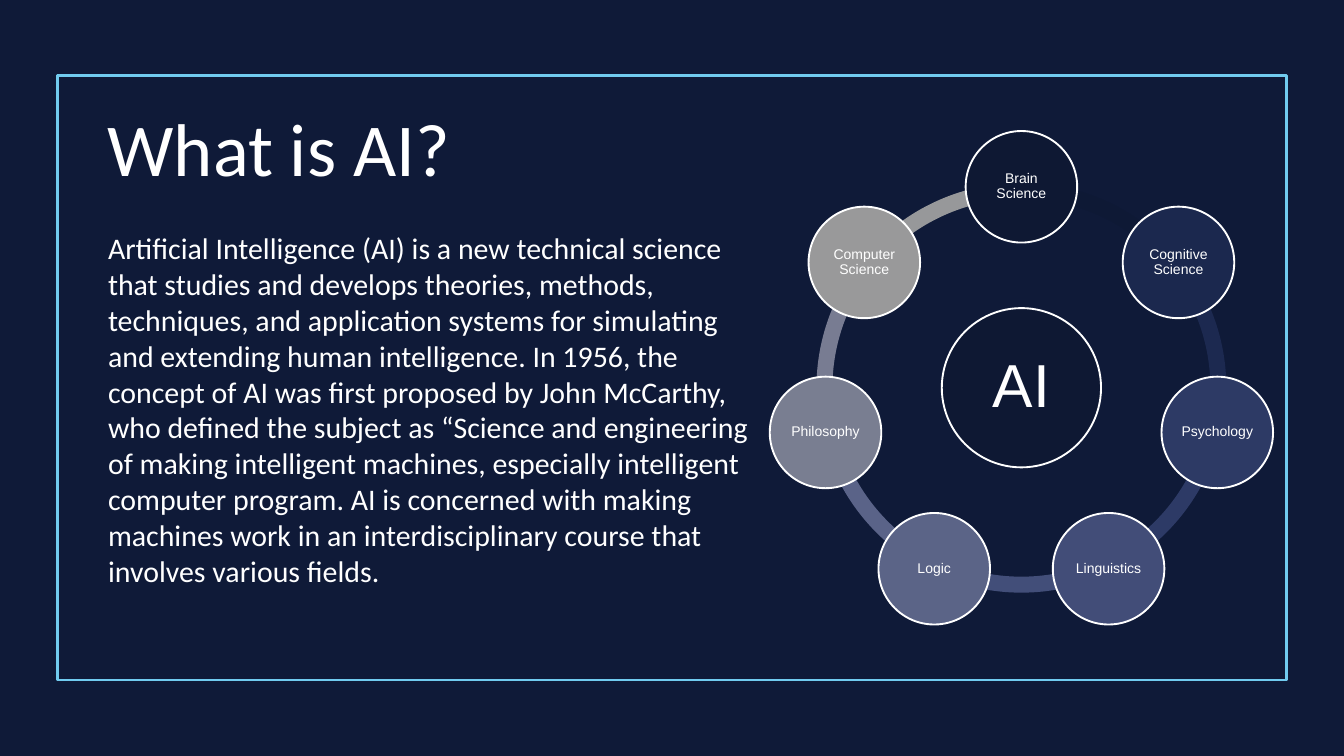
"""Build the "What is AI?" slide with a ring of contributing sciences."""
from math import cos, radians, sin
from typing import NamedTuple

from pptx import Presentation
from pptx.dml.color import RGBColor
from pptx.enum.shapes import MSO_SHAPE as SHAPE
from pptx.enum.text import MSO_ANCHOR as ANCHOR, MSO_AUTO_SIZE as AUTO_SIZE, PP_ALIGN as ALIGN
from pptx.util import Inches, Pt

WHITE = "FFFFFF"
CENTER_X, CENTER_Y = 15.2, 5.77
ORBIT, RING_SIZE, RING_WIDTH = 2.99, 6.1, 0.039
DEFINITION = (
    "Artificial Intelligence (AI) is a new technical science that studies and develops "
    "theories, methods, techniques, and application systems for simulating and extending "
    "human intelligence. In 1956, the concept of AI was first proposed by John McCarthy, "
    "who defined the subject as “Science and engineering of making intelligent machines, "
    "especially intelligent computer program. AI is concerned with making machines work in "
    "an interdisciplinary course that involves various fields."
)


class Topic(NamedTuple):
    label: str
    fill: str
    arc_fill: str


TOPICS = [
    Topic("Brain Science", "0E1833", "0E1935"),
    Topic("Cognitive Science", "1B284E", "1C2950"),
    Topic("Psychology", "2D3A65", "2D3A66"),
    Topic("Linguistics", "424D78", "424E79"),
    Topic("Logic", "5B6487", "5A6388"),
    Topic("Philosophy", "797E91", "787C92"),
    Topic("Computer Science", "99999A", "97989A"),
]
STEP = 360 / len(TOPICS)


def color(value: str) -> RGBColor:
    return RGBColor.from_string(value)


def write(tf, text: str, size: float, font: str, align=ALIGN.LEFT) -> None:
    tf.word_wrap = True
    tf.auto_size = AUTO_SIZE.NONE
    tf.text = text
    p = tf.paragraphs[0]
    p.alignment = align
    r = p.runs[0]
    r.font.size, r.font.name = Pt(size), font
    r.font.color.rgb = color(WHITE)


def add_frame(s) -> None:
    sp = s.shapes.add_shape(SHAPE.RECTANGLE, Inches(0.85), Inches(1.12), Inches(18.29), Inches(9))
    sp.shadow.inherit = False
    sp.fill.background()
    sp.line.color.rgb = color("71CBEF")
    sp.line.width = Pt(3)


def add_arc(s, start: float, fill: str) -> None:
    sp = s.shapes.add_shape(
        SHAPE.BLOCK_ARC, Inches(CENTER_X - RING_SIZE / 2), Inches(CENTER_Y - RING_SIZE / 2),
        Inches(RING_SIZE), Inches(RING_SIZE))
    sp.shadow.inherit = False
    for i, angle in enumerate((start, start + STEP)):
        sp.adjustments[i] = angle % 360 * 0.6
    sp.adjustments[2] = RING_WIDTH
    sp.fill.solid()
    sp.fill.fore_color.rgb = color(fill)
    sp.line.fill.background()


def add_circle(s, x: float, y: float, diameter: float, label: str, fill: str,
               size: float, inset: float) -> None:
    sp = s.shapes.add_shape(
        SHAPE.OVAL, Inches(x - diameter / 2), Inches(y - diameter / 2),
        Inches(diameter), Inches(diameter))
    sp.shadow.inherit = False
    sp.fill.solid()
    sp.fill.fore_color.rgb = color(fill)
    sp.line.color.rgb = color(WHITE)
    sp.line.width = Pt(2)
    tf = sp.text_frame
    tf.margin_left = tf.margin_right = tf.margin_top = tf.margin_bottom = Inches(inset)
    tf.vertical_anchor = ANCHOR.MIDDLE
    write(tf, label, size, "Arial", ALIGN.CENTER)
    tf.paragraphs[0].line_spacing = 0.9


def main() -> None:
    prs = Presentation()
    prs.slide_width, prs.slide_height = Inches(20), Inches(11.25)
    s = prs.slides.add_slide(prs.slide_layouts[5])
    s.background.fill.solid()
    s.background.fill.fore_color.rgb = color("0F1A38")
    add_frame(s)

    title = s.shapes.title
    title.left, title.top = Inches(1.5), Inches(1.37)
    title.width, title.height = Inches(13.12), Inches(1.61)
    title.text_frame.vertical_anchor = ANCHOR.MIDDLE
    write(title.text_frame, "What is AI?", 80, "Calibri")

    body = s.shapes.add_textbox(Inches(1.51), Inches(3.37), Inches(9.9), Inches(6.51))
    write(body.text_frame, DEFINITION, 32, "Calibri")

    starts = [270 + i * STEP for i in range(len(TOPICS))]
    for start, topic in zip(starts, TOPICS):
        add_arc(s, start, topic.arc_fill)
    add_circle(s, CENTER_X, CENTER_Y, 2.37, "AI", "0E1833", 65, 0.09)
    for start, topic in zip(starts, TOPICS):
        x = CENTER_X + ORBIT * cos(radians(start))
        y = CENTER_Y + ORBIT * sin(radians(start))
        add_circle(s, x, y, 1.66, topic.label, topic.fill, 15, 0.02)

    prs.save("out.pptx")


if __name__ == "__main__":
    main()
